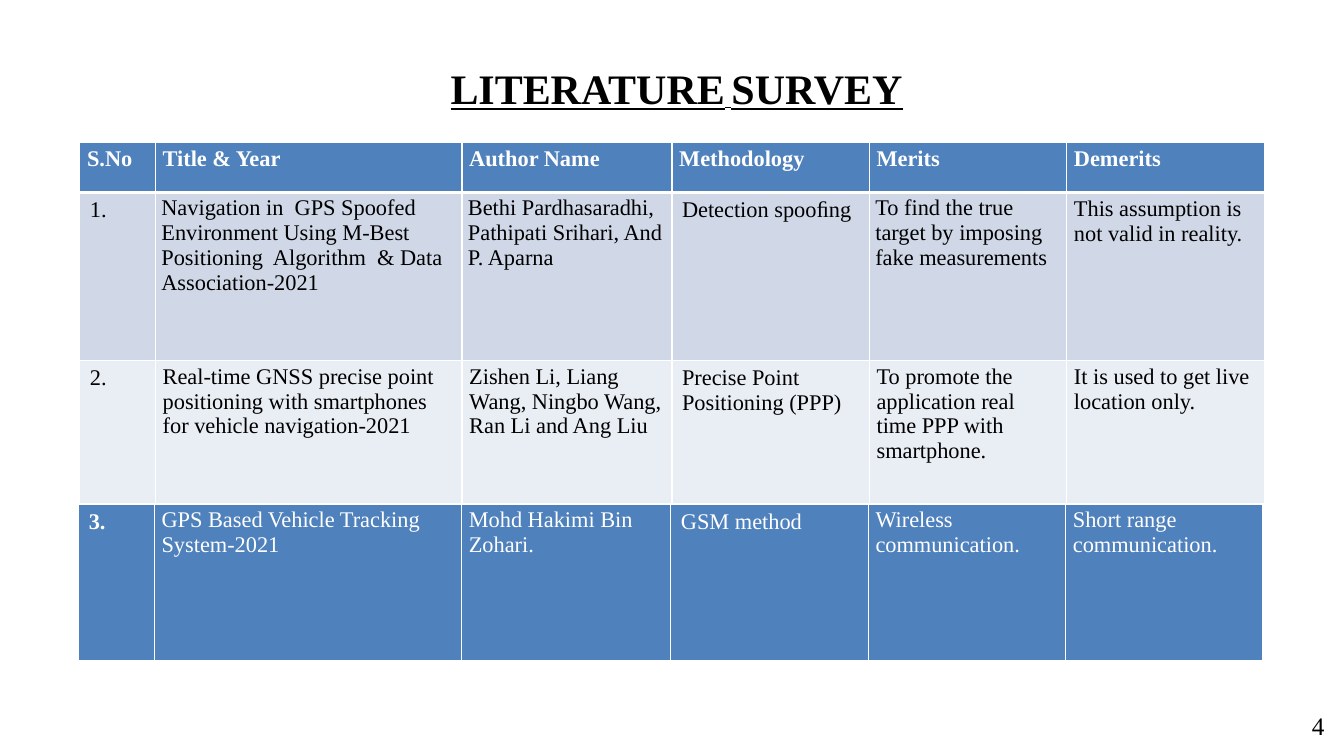
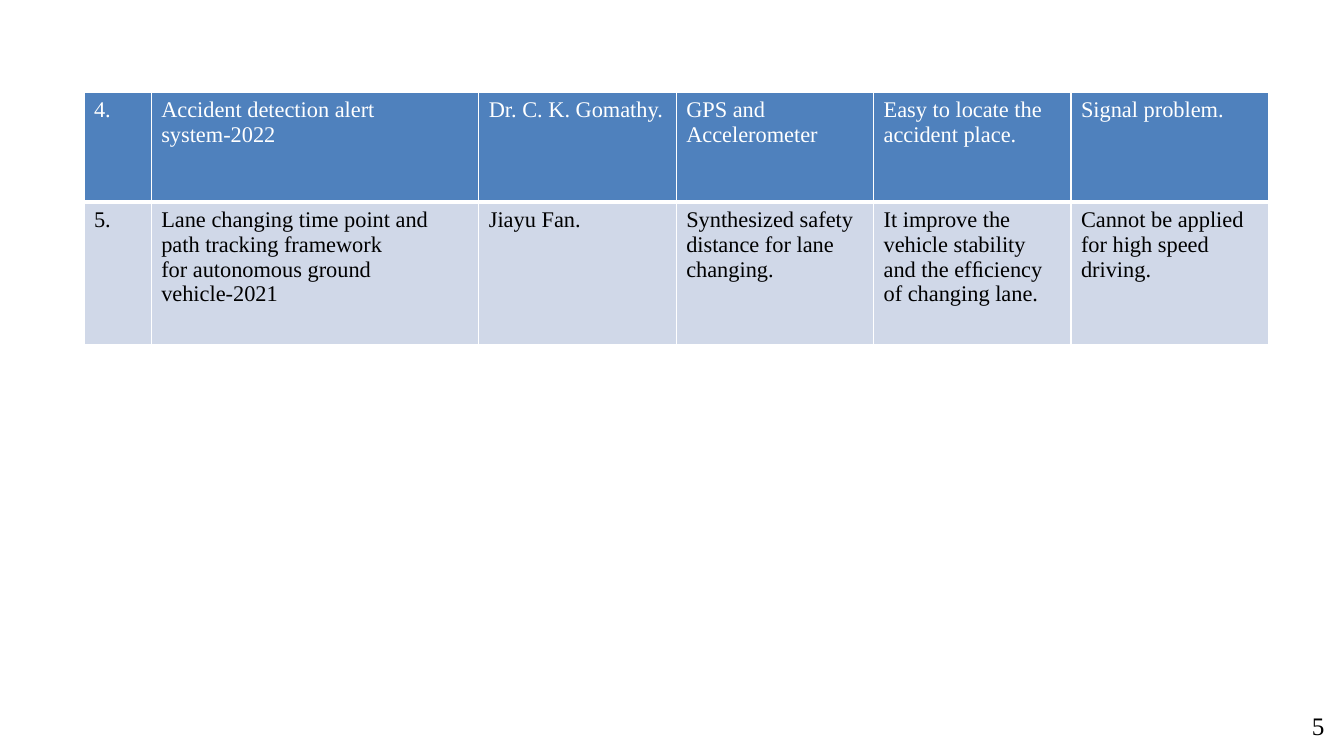
import lxml.etree
import pptx
import pptx.dml.color
import pptx.enum.text
import pptx.oxml.ns
import pptx.util

Pt = pptx.util.Pt
RGBColor = pptx.dml.color.RGBColor
qn = pptx.oxml.ns.qn

BLACK = RGBColor(0x00, 0x00, 0x00)
WHITE = RGBColor(0xFF, 0xFF, 0xFF)
BLUE = RGBColor(0x4F, 0x81, 0xBD)
BAND_DARK = RGBColor(0xD0, 0xD8, 0xE8)
BAND_LIGHT = RGBColor(0xE9, 0xED, 0xF4)

# Horizontal and vertical cell margins in points
WIDE, MEDIUM, TIGHT = (7.2, 3.6), (5.2, 2.7), (4.3, 2.2)
MIXED = [WIDE, MEDIUM, MEDIUM, WIDE, MEDIUM, MEDIUM]
MIXED_TIGHT = [WIDE, TIGHT, TIGHT, WIDE, TIGHT, MEDIUM]


class Deck:
    font = "Times New Roman"
    title_size, space_size, number_size, cell_size = 30, 18, 18, 16
    thin, thick = 1, 3

    def __init__(self):
        self.prs = pptx.Presentation()
        self.prs.slide_width, self.prs.slide_height = Pt(960), Pt(540)
        self.s = None

    def add_slide(self, number, title=None):
        """Start a slide: title-only layout with a title, blank without."""
        layout = self.prs.slide_layouts[5 if title else 6]
        self.s = self.prs.slides.add_slide(layout)
        if title:
            self.title(title)
        self.page_number(number)

    def format_run(self, r, size, color=BLACK, bold=False, underline=False):
        f = r.font
        f.name, f.size, f.bold, f.underline = self.font, Pt(size), bold, underline
        f.color.rgb = color

    def place(self, sp, left, top, width, height):
        sp.left, sp.top = Pt(left), Pt(top)
        sp.width, sp.height = Pt(width), Pt(height)

    def title(self, words):
        """Underlined heading with narrower spaces between its words."""
        sp = self.s.shapes.title
        self.place(sp, 314.6, 41, 360, 44)
        tf = sp.text_frame
        tf.vertical_anchor = pptx.enum.text.MSO_ANCHOR.TOP
        tf.auto_size = pptx.enum.text.MSO_AUTO_SIZE.SHAPE_TO_FIT_TEXT
        p = tf.paragraphs[0]
        p.alignment = pptx.enum.text.PP_ALIGN.LEFT
        for i, word in enumerate(words.split()):
            if i:
                self.add_title_run(p, " ", self.space_size)
            self.add_title_run(p, word, self.title_size)

    def add_title_run(self, p, text, size):
        r = p.add_run()
        r.text = text
        self.format_run(r, size, bold=True, underline=True)

    def page_number(self, number):
        sp = self.s.shapes.add_textbox(Pt(930), Pt(504), Pt(26), Pt(29))
        tf = sp.text_frame
        tf.word_wrap = True
        tf.auto_size = pptx.enum.text.MSO_AUTO_SIZE.SHAPE_TO_FIT_TEXT
        tf.text = str(number)
        self.format_run(tf.paragraphs[0].runs[0], self.number_size)

    def table(self, left, top, widths, heights, rows, fills, margins, bold=()):
        """Draw a table; blue rows get white text and a thick lower border.

        bold holds the (row, column) pairs of the bold cells.
        """
        frame = self.s.shapes.add_table(
            len(rows), len(widths), Pt(left), Pt(top),
            Pt(sum(widths)), Pt(sum(heights)))
        table = frame.table
        table.first_row = table.horz_banding = False
        for column, width in zip(table.columns, widths):
            column.width = Pt(width)
        for i, (row, height) in enumerate(zip(rows, heights)):
            table.rows[i].height = Pt(height)
            above = self.thick if i and fills[i - 1] == BLUE else self.thin
            below = self.thick if fills[i] == BLUE else self.thin
            for j, text in enumerate(row):
                cell = table.cell(i, j)
                self.borders(cell, above, below)
                self.fill_cell(cell, text, fills[i], margins[i][j], (i, j) in bold)

    def fill_cell(self, cell, text, fill, margin, bold):
        cell.margin_left = cell.margin_right = Pt(margin[0])
        cell.margin_top = cell.margin_bottom = Pt(margin[1])
        cell.fill.solid()
        cell.fill.fore_color.rgb = fill
        cell.text_frame.text = text
        for p in cell.text_frame.paragraphs:
            for r in p.runs:
                self.format_run(r, self.cell_size, WHITE if fill == BLUE else BLACK, bold)

    def borders(self, cell, above, below):
        tc_pr = cell._tc.get_or_add_tcPr()
        sides = {"L": self.thin, "R": self.thin, "T": above, "B": below}
        for side, width in sides.items():
            ln = lxml.etree.SubElement(tc_pr, qn("a:ln" + side), w=str(Pt(width)))
            solid = lxml.etree.SubElement(ln, qn("a:solidFill"))
            lxml.etree.SubElement(solid, qn("a:srgbClr"), val=str(WHITE))


def main():
    deck = Deck()

    deck.add_slide(4, "LITERATURE SURVEY")
    header = ["S.No", "Title & Year", "Author Name", "Methodology", "Merits", "Demerits"]
    deck.table(
        57, 102, [54, 219, 150, 141, 141, 141], [35.5, 120, 155.5],
        [
            header,
            ["1.",
             "Navigation in  GPS Spoofed  Environment Using M-Best "
             "Positioning  Algorithm  & Data Association-2021",
             "Bethi Pardhasaradhi, Pathipati Srihari, And P. Aparna",
             "Detection spooﬁng",
             "To find the true target by imposing fake measurements",
             "This assumption is not valid in reality."],
            ["2.",
             "Real-time GNSS precise point positioning with smartphones "
             "for vehicle navigation-2021",
             "Zishen Li, Liang Wang, Ningbo Wang, Ran Li and Ang Liu",
             "Precise Point Positioning (PPP)",
             "To promote the application real time PPP with smartphone.",
             "It is used to get live location only."],
        ],
        [BLUE, BAND_DARK, BAND_LIGHT],
        [[MEDIUM] * len(header), MIXED_TIGHT, MIXED],
        bold=[(0, j) for j in range(len(header))])
    deck.table(
        56.2, 360, [54, 219.5, 149.5, 141, 141, 141], [113],
        [["3.", "GPS Based Vehicle Tracking System-2021", "Mohd Hakimi Bin Zohari.",
          "GSM method", "Wireless communication.", "Short range communication."]],
        [BLUE], [MIXED], bold=[(0, 0)])

    deck.add_slide(5)
    deck.table(
        60, 66, [48, 234, 141, 141, 141, 141], [78.5, 101.5],
        [
            ["4.", "Accident detection alert  system-2022", "Dr. C. K. Gomathy.",
             "GPS and Accelerometer", "Easy to locate the accident place.",
             "Signal problem."],
            ["5.",
             "Lane changing time point and path tracking framework\n"
             "for autonomous ground vehicle-2021",
             "Jiayu Fan.",
             "Synthesized safety distance for lane changing.",
             "It improve the vehicle stability and the efﬁciency of changing lane.",
             "Cannot be applied\nfor high speed driving."],
        ],
        [BLUE, BAND_DARK], [[WIDE] * 6] * 2)

    deck.prs.save("out.pptx")


if __name__ == "__main__":
    main()
